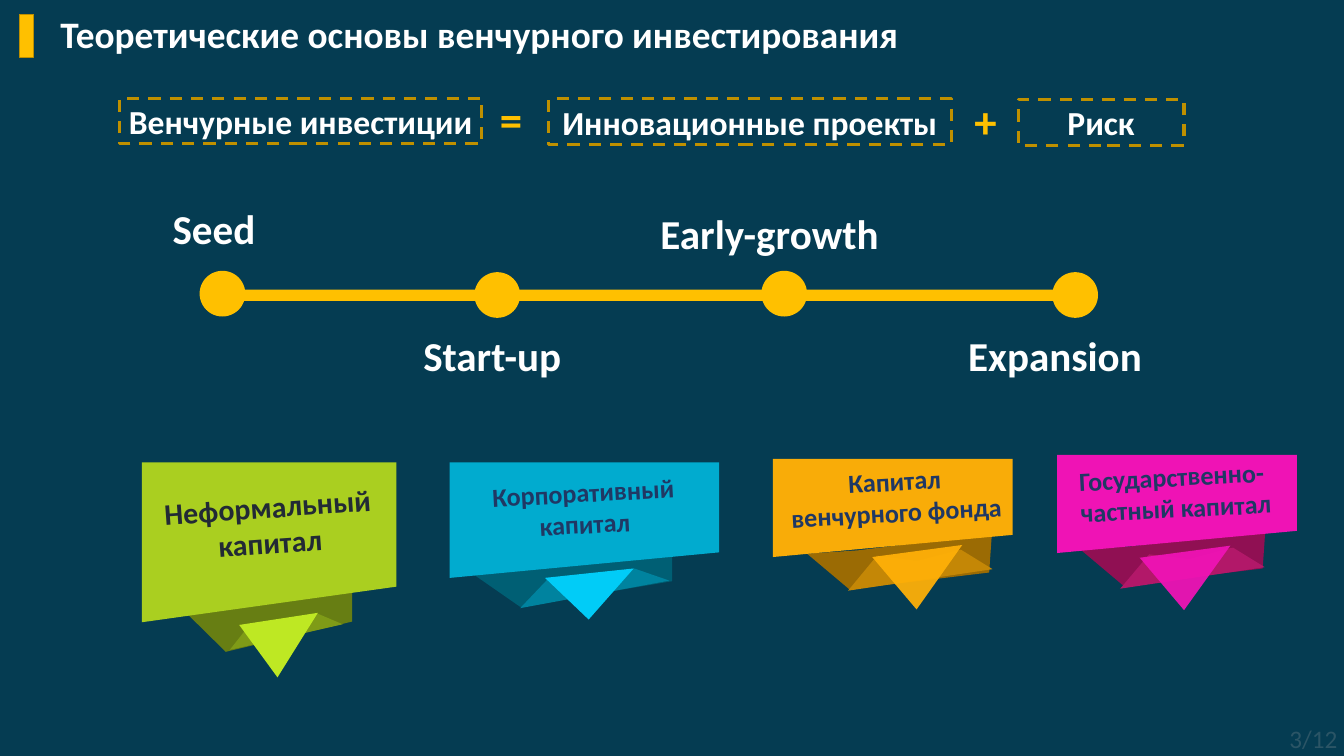
from lxml import etree
from pptx import Presentation
from pptx.dml.color import RGBColor
from pptx.enum.dml import MSO_LINE
from pptx.enum.shapes import MSO_SHAPE
from pptx.enum.text import MSO_ANCHOR, MSO_AUTO_SIZE, PP_ALIGN
from pptx.oxml.ns import qn
from pptx.util import Cm, Pt

RECT, OVAL = MSO_SHAPE.RECTANGLE, MSO_SHAPE.OVAL
LEFT, CENTER, RIGHT = PP_ALIGN.LEFT, PP_ALIGN.CENTER, PP_ALIGN.RIGHT
TOP, MIDDLE = MSO_ANCHOR.TOP, MSO_ANCHOR.MIDDLE
FIT, DASH = MSO_AUTO_SIZE.SHAPE_TO_FIT_TEXT, MSO_LINE.DASH
TITLE_ONLY = 5
CM_PER_UNIT = 2.54  # the layout grid below is in inches

THEME = {
    "font": "Calibri", "page": "F7F7F7", "ground": "053C52", "text": "FFFFFF",
    "accent": "FFC000", "accent_edge": "BD8E00", "frame": "BF9000",
    "navy": "203864", "ink": "222A35", "page_number": "2B5566",
    "title": 40, "formula": 36, "sign": 48, "stage": 44,
    "banner_large": 32, "banner": 28, "number": 27,
}

# Content
TITLE = "Теоретические основы венчурного инвестирования"
PAGE_NUMBER = "3/12"
FORMULA_TERMS = [
    ("Венчурные инвестиции", (1.78, 1.46, 5.39, 0.68)),
    ("Инновационные проекты", (8.16, 1.47, 6, 0.68)),
    ("Риск", (15.15, 1.48, 2.47, 0.68)),
]
FORMULA_SIGNS = [("=", (7.34, 1.31, 0.75, 0.91)), ("+", (14.4, 1.34, 0.75, 0.91))]
DOT = 0.68
STAGES = [  # name, dot centre, label box
    ("Seed", (3.31, 4.37), (2.47, 2.98, 1.67, 0.84)),
    ("Start-up", (7.4, 4.39), (6.2, 4.87, 2.39, 0.84)),
    ("Early-growth", (11.67, 4.37), (9.73, 3.06, 3.88, 0.84)),
    ("Expansion", (16, 4.39), (14.31, 4.87, 2.93, 0.84)),
]
# Ribbon pieces run from back to front: colour, opacity in percent, corners
BANNERS = [
    {"lines": ["Неформальный", "капитал"], "box": (2.28, 7.22, 3.44, 1.18),
     "turn": -4.1, "size": "banner_large", "color": "ink", "align": CENTER,
     "pieces": [
         ("677E13", 100, [(3.45, 9), (2.76, 9.11), (3.36, 9.7), (5.24, 9.25), (5.24, 8.57)]),
         ("AACF20", 100, [(5.9, 6.88), (2.11, 6.88), (2.11, 9.26), (5.9, 8.73)]),
         ("7F9B17", 100, [(3.42, 9.67), (3.72, 9.29), (4.2, 9.29), (4.67, 9.14), (4.7, 9.12), (5.1, 9.29)]),
         ("BEE823", 100, [(3.56, 9.3), (4.13, 10.08), (4.73, 9.12)])]},
    {"lines": ["Корпоративный", "капитал"], "box": (7.22, 7.04, 2.94, 1.04),
     "turn": -3.1, "size": "banner", "color": "navy", "align": CENTER,
     "pieces": [
         ("005F74", 100, [(7.85, 8.44), (7.02, 8.53), (7.74, 9.03), (10, 8.65), (10, 8.07)]),
         ("00839F", 100, [(7.74, 9.05), (8.14, 8.63), (8.77, 8.64), (9.39, 8.48), (9.44, 8.46), (9.96, 8.64)]),
         ("01ABCF", 100, [(10.7, 6.88), (6.69, 6.88), (6.69, 8.6), (10.7, 8.22)]),
         ("01CCF7", 100, [(8.11, 8.6), (8.76, 9.22), (9.43, 8.46)])]},
    {"lines": ["Капитал венчурного фонда"], "box": (11.54, 6.87, 3.57, 1.04),
     "turn": -3.3, "size": "banner", "color": "navy", "align": CENTER,
     "pieces": [
         ("9B6B04", 100, [(12.77, 8.19), (12.01, 8.24), (12.64, 8.77), (14.72, 8.52), (14.76, 7.94)]),
         ("F9AC08", 100, [(15.07, 6.83), (11.5, 6.83), (11.5, 8.29), (15.07, 7.96)]),
         ("C48706", 100, [(12.62, 8.79), (13.05, 8.27), (13.65, 8.35), (14.26, 8.19), (14.3, 8.18), (14.77, 8.47)]),
         ("FFB008", 94, [(12.98, 8.29), (13.64, 9.07), (14.32, 8.11)])]},
    {"lines": ["Государственно-частный капитал"], "box": (15.97, 6.79, 3.57, 1.04),
     "turn": -2.9, "size": "banner", "color": "navy", "align": LEFT,
     "pieces": [
         ("901053", 100, [(16.84, 8.13), (16.08, 8.18), (16.71, 8.71), (18.79, 8.46), (18.83, 7.88)]),
         ("EF13B5", 100, [(19.3, 6.77), (15.73, 6.77), (15.73, 8.23), (19.3, 7.9)]),
         ("B21869", 100, [(16.67, 8.76), (17.1, 8.25), (17.7, 8.32), (18.3, 8.16), (18.35, 8.15), (18.82, 8.44)]),
         ("EF13B5", 94, [(16.96, 8.3), (17.62, 9.08), (18.31, 8.12)])]},
]


def lengths(values):
    return [Cm(v * CM_PER_UNIT) for v in values]


def rgb(color):
    return RGBColor.from_string(THEME.get(color, color))


def paint(shape, fill=None, line=None, width=1):
    shape.shadow.inherit = False
    if fill:
        shape.fill.solid()
        shape.fill.fore_color.rgb = rgb(fill)
    else:
        shape.fill.background()
    if line:
        shape.line.color.rgb = rgb(line)
        shape.line.width = Pt(width)
    else:
        shape.line.fill.background()
    return shape


def add_block(kind, box, **style):
    return paint(slide.shapes.add_shape(kind, *lengths(box)), **style)


def write(shape, lines, size, color="text", align=LEFT, anchor=TOP, bold=True):
    frame = shape.text_frame
    frame.word_wrap = True
    frame.vertical_anchor = anchor
    frame.text = "\n".join(lines)
    for paragraph in frame.paragraphs:
        paragraph.alignment = align
        paragraph.font.name = THEME["font"]
        paragraph.font.size = Pt(THEME[size])
        paragraph.font.bold = bold
        paragraph.font.color.rgb = rgb(color)


def add_label(box, lines, size, **style):
    label = slide.shapes.add_textbox(*lengths(box))
    write(label, lines, size, **style)
    label.text_frame.auto_size = FIT
    return label


def add_piece(color, opacity, corners):
    points = [lengths(corner) for corner in corners]
    outline = slide.shapes.build_freeform(*points[0])
    outline.add_line_segments(points[1:], close=True)
    piece = paint(outline.convert_to_shape(), fill=color)
    if opacity < 100:
        tint = piece._element.spPr.find(qn("a:solidFill"))[0]
        etree.SubElement(tint, qn("a:alpha")).set("val", str(opacity * 1000))


prs = Presentation()
prs.slide_width, prs.slide_height = lengths((20, 11.25))
slide = prs.slides.add_slide(prs.slide_layouts[TITLE_ONLY])

# Background, placed behind the title
slide.background.fill.solid()
slide.background.fill.fore_color.rgb = rgb("page")
ground = add_block(RECT, (-0.04, 0, 20.04, 11.25), fill="ground")
slide.shapes._spTree.insert(2, ground._element)

# Title with its marker
add_block(RECT, (0.29, 0.21, 0.21, 0.64), fill="accent", line="accent_edge")
title = slide.shapes.title
title.left, title.top, title.width, title.height = lengths((0.8, 0.11, 14.98, 0.77))
write(title, [TITLE], "title")
title.text_frame.auto_size = MSO_AUTO_SIZE.NONE

# Formula
for term, box in FORMULA_TERMS:
    term_frame = add_block(RECT, box, line="frame", width=3.25)
    term_frame.line.dash_style = DASH
    write(term_frame, [term], "formula", align=CENTER, anchor=MIDDLE)
for sign, box in FORMULA_SIGNS:
    add_label(box, [sign], "sign", color="accent")

# Stage timeline
add_block(RECT, (3.31, 4.31, 12.75, 0.17), fill="accent")
for stage, (x, y), box in STAGES:
    add_block(OVAL, (x - DOT / 2, y - DOT / 2, DOT, DOT), fill="accent")
    add_label(box, [stage], "stage")

# Capital banners
for banner in BANNERS:
    for piece in banner["pieces"]:
        add_piece(*piece)
    caption = add_label(banner["box"], banner["lines"], banner["size"],
                        color=banner["color"], align=banner["align"])
    caption.rotation = banner["turn"]

# Page number
add_label((18.6, 10.71, 1.4, 0.55), [PAGE_NUMBER], "number",
          color="page_number", align=RIGHT, bold=False)

prs.save("out.pptx")
